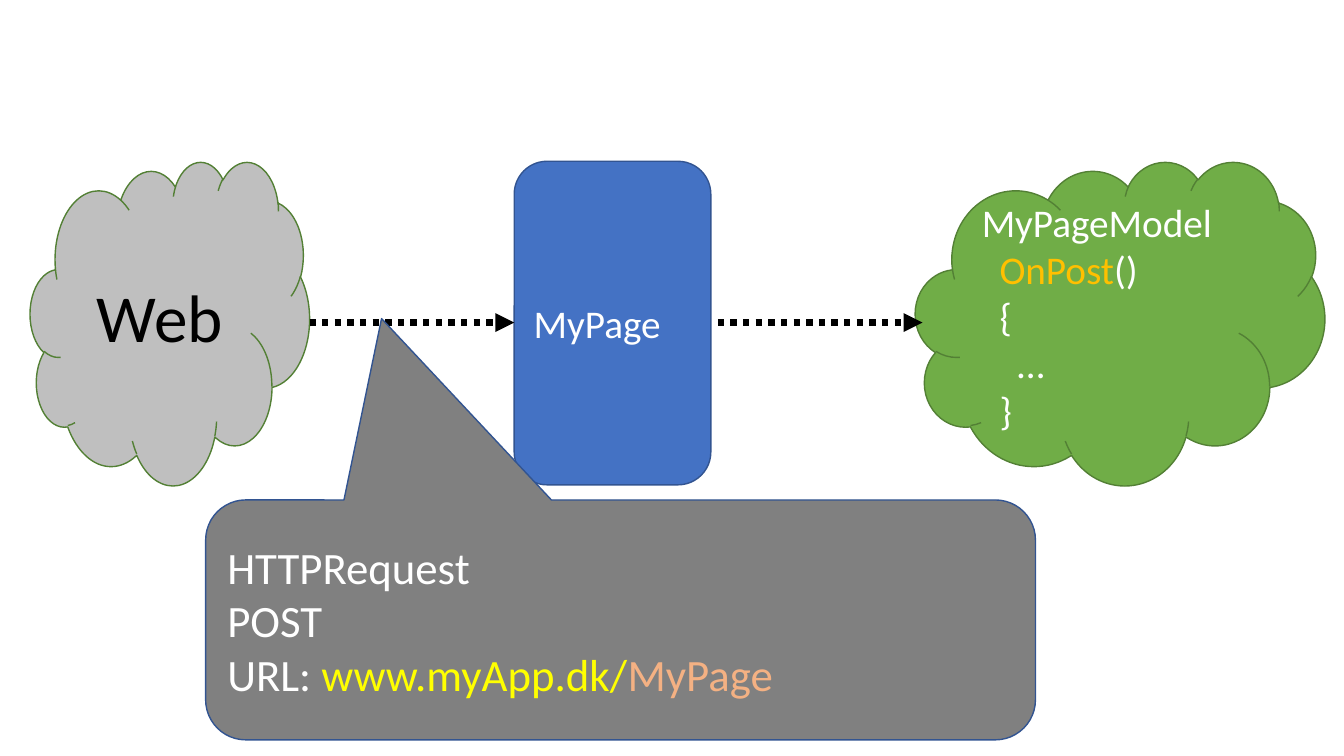
import pptx
import pptx.dml.color
import pptx.enum.dml
import pptx.enum.shapes
import pptx.enum.text
import pptx.oxml.ns
import pptx.util
from pptx.util import Inches
from lxml import etree

RGBColor = pptx.dml.color.RGBColor
ShapeKind = pptx.enum.shapes.MSO_SHAPE
Align = pptx.enum.text.PP_ALIGN

WHITE = RGBColor(0xFF, 0xFF, 0xFF)
BLACK = RGBColor(0x00, 0x00, 0x00)
BLUE = RGBColor(0x44, 0x72, 0xC4)
DARK_BLUE = RGBColor(0x32, 0x54, 0x91)
GREEN = RGBColor(0x70, 0xAD, 0x47)
DARK_GREEN = RGBColor(0x53, 0x80, 0x35)
LIGHT_GRAY = RGBColor(0xBF, 0xBF, 0xBF)
GRAY = RGBColor(0x80, 0x80, 0x80)
GOLD = RGBColor(0xFF, 0xC0, 0x00)
YELLOW = RGBColor(0xFF, 0xFF, 0x00)
PEACH = RGBColor(0xF4, 0xB1, 0x83)

FONT = "Calibri"
TOP = 1.6
HEIGHT = 3.21
ARROW_Y = 3.2
ARROW_LENGTH = 2.03
INDENT = 0.176


def write_text(shape, lines, size, color=WHITE, align=Align.LEFT):
    """Fill a shape with lines, each an indent level and (text, color) runs; None takes the default color."""
    frame = shape.text_frame
    frame.word_wrap = True
    frame.vertical_anchor = pptx.enum.text.MSO_ANCHOR.MIDDLE
    for index, (level, runs) in enumerate(lines):
        paragraph = frame.add_paragraph() if index else frame.paragraphs[0]
        paragraph.alignment = align
        if level:
            properties = paragraph._p.get_or_add_pPr()
            properties.set("marL", str(Inches(level * INDENT)))
        for text, run_color in runs:
            run = paragraph.add_run()
            run.text = text
            run.font.name = FONT
            run.font.size = pptx.util.Pt(size)
            run.font.color.rgb = run_color or color


def add_box(slide, kind, left, top, width, height, fill, outline):
    shape = slide.shapes.add_shape(
        kind, Inches(left), Inches(top), Inches(width), Inches(height))
    shape.shadow.inherit = False
    shape.fill.solid()
    shape.fill.fore_color.rgb = fill
    shape.line.color.rgb = outline
    shape.line.width = pptx.util.Pt(1)
    return shape


def add_dotted_arrow(slide, left):
    arrow = slide.shapes.add_connector(
        pptx.enum.shapes.MSO_CONNECTOR.STRAIGHT, Inches(left), Inches(ARROW_Y),
        Inches(left + ARROW_LENGTH), Inches(ARROW_Y))
    arrow.line.color.rgb = BLACK
    arrow.line.width = pptx.util.Pt(4.5)
    # ROUND_DOT is the member that is stored as sysDot
    arrow.line.dash_style = pptx.enum.dml.MSO_LINE.ROUND_DOT
    qualified = pptx.oxml.ns.qn
    etree.SubElement(arrow.line._get_or_add_ln(), qualified("a:tailEnd"), type="triangle")
    etree.SubElement(arrow._element.spPr, qualified("a:effectLst"))


def main():
    presentation = pptx.Presentation()
    presentation.slide_width = Inches(13.33)
    presentation.slide_height = Inches(7.5)
    slide = presentation.slides.add_slide(presentation.slide_layouts[6])

    page = add_box(slide, ShapeKind.ROUNDED_RECTANGLE, 5.1, TOP, 1.95, HEIGHT, BLUE, DARK_BLUE)
    write_text(page, [(0, [("MyPage", None)])], size=28)

    model = add_box(slide, ShapeKind.CLOUD, 9.08, TOP, 4.06, HEIGHT, GREEN, DARK_GREEN)
    write_text(model, [
        (0, [("MyPageModel", None)]),
        (1, [("OnPost", GOLD), ("()", None)]),
        (1, [("{", None)]),
        (2, [("…", None)]),
        (1, [("}", None)]),
    ], size=28)

    web = add_box(slide, ShapeKind.CLOUD, 0.3, TOP, 2.77, HEIGHT, LIGHT_GRAY, DARK_GREEN)
    write_text(web, [(0, [("Web", None)])], size=48, color=BLACK, align=Align.CENTER)

    for left in (3.07, 7.12):
        add_dotted_arrow(slide, left)

    request = add_box(slide, ShapeKind.ROUNDED_RECTANGULAR_CALLOUT,
                      2.04, 4.96, 8.23, 2.38, GRAY, DARK_BLUE)
    for index, value in enumerate((-0.288, -1.256, 0.167)):
        request.adjustments[index] = value
    write_text(request, [
        (0, [("HTTPRequest", None)]),
        (0, [("POST", None)]),
        (0, [("URL: ", None), ("www.myApp.dk/", YELLOW), ("MyPage", PEACH)]),
    ], size=32)

    presentation.save("out.pptx")


if __name__ == "__main__":
    main()
